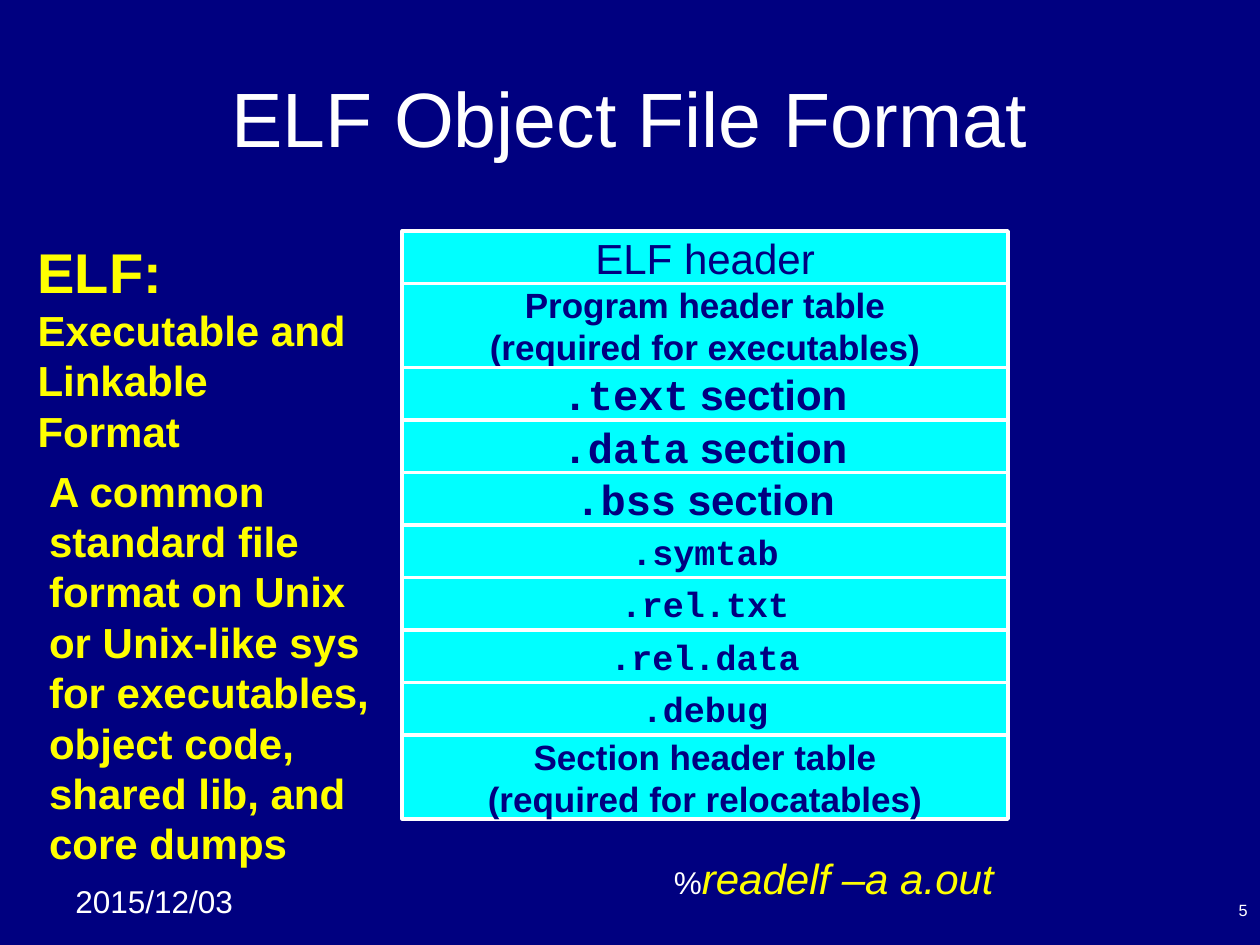
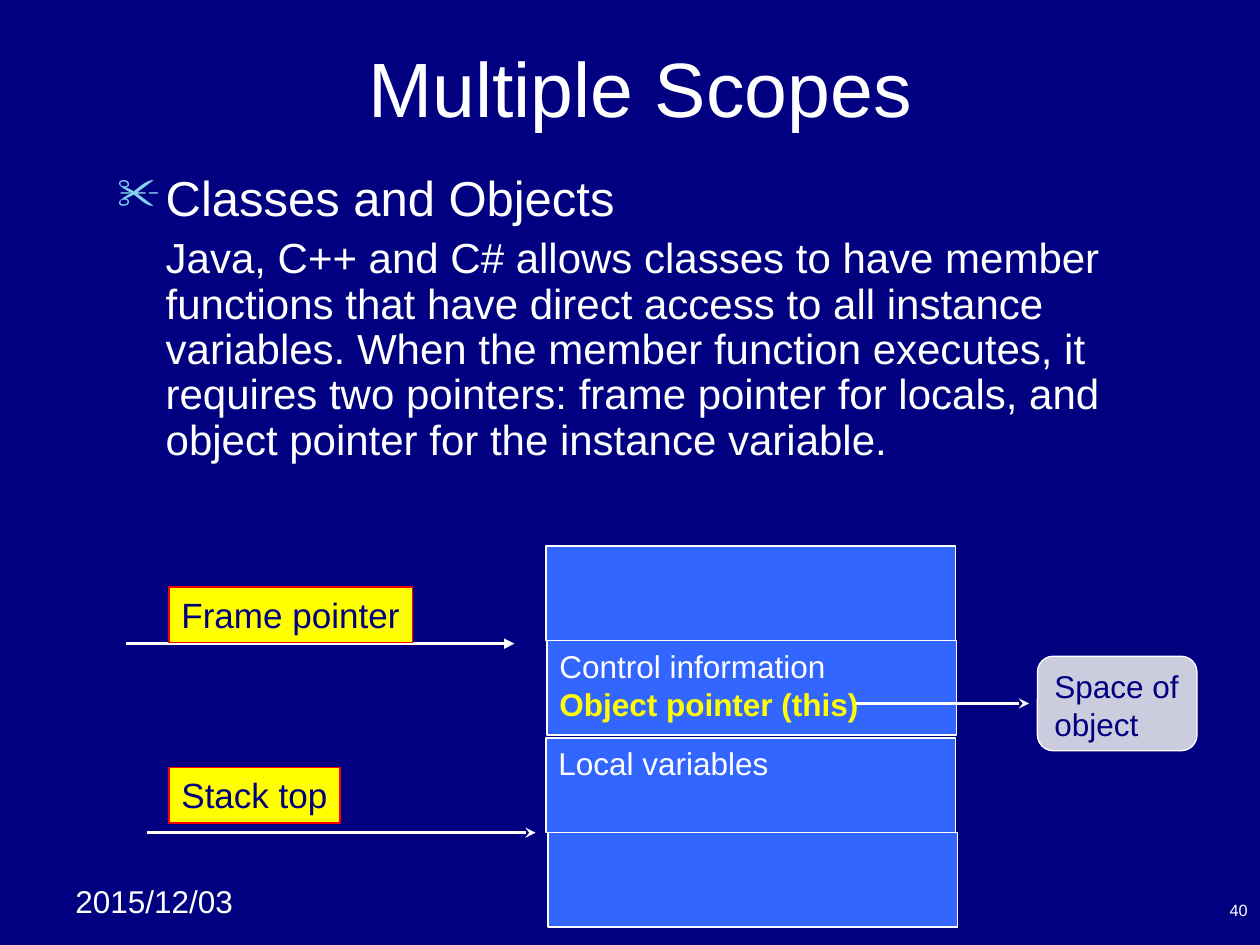
"""Build two lecture slides: the ELF file layout and multiple scopes."""
from lxml.etree import SubElement
from pptx import Presentation
from pptx.dml.color import RGBColor
from pptx.enum.shapes import MSO_CONNECTOR, MSO_SHAPE
from pptx.enum.text import MSO_ANCHOR as ANCHOR, PP_ALIGN as ALIGN
from pptx.oxml.ns import qn
from pptx.util import Pt

PX = 7620
COLORS = {
    "navy": "000080", "white": "FFFFFF", "yellow": "FFFF00", "cyan": "00FFFF",
    "blue": "3366FF", "red": "FF0000", "lavender": "CCCCDF", "sky": "86D1EC",
}
RGB = {name: RGBColor.from_string(value) for name, value in COLORS.items()}
SANS, MONO = "Arial", "Courier New"


def add_box(slide, bounds, paragraphs=(), size=18, color="white", style="", font=SANS,
            align=ALIGN.LEFT, anchor=ANCHOR.TOP, wrap=True,
            preset=None, fill=None, line=None, width=0.75):
    """Add a text box or preset shape; a run is a string or (text, overrides)."""
    x, y, w, h = (value * PX for value in bounds)
    if preset is None:
        box = slide.shapes.add_textbox(x, y, w, h)
    else:
        box = slide.shapes.add_shape(preset, x, y, w, h)
        box.shadow.inherit = False
        box.fill.solid()
        box.fill.fore_color.rgb = RGB[fill]
        box.line.color.rgb = RGB[line]
        box.line.width = Pt(width)
    frame = box.text_frame
    frame.word_wrap = wrap
    frame.vertical_anchor = anchor
    for index, runs in enumerate(paragraphs):
        paragraph = frame.add_paragraph() if index else frame.paragraphs[0]
        paragraph.alignment = align
        for part in [runs] if isinstance(runs, str) else runs:
            text, own = (part, {}) if isinstance(part, str) else part
            look = {"size": size, "color": color, "style": style, "font": font, **own}
            run = paragraph.add_run()
            run.text = text
            run.font.name = look["font"]
            run.font.size = Pt(look["size"])
            run.font.bold = "b" in look["style"]
            run.font.italic = "i" in look["style"]
            run.font.color.rgb = RGB[look["color"]]
    return frame


def add_arrow(slide, start, end, y, head):
    """Add a horizontal white arrow."""
    arrow = slide.shapes.add_connector(
        MSO_CONNECTOR.STRAIGHT, start * PX, y * PX, end * PX, y * PX)
    arrow.line.color.rgb = RGB["white"]
    arrow.line.width = Pt(1.5)
    SubElement(arrow.line._get_or_add_ln(), qn("a:tailEnd"), type=head)
    SubElement(arrow._element.spPr, qn("a:effectLst"))


deck = Presentation()
deck.slide_width, deck.slide_height = 1200 * PX, 900 * PX

slides = []
for title, title_bounds, number in [
    ("ELF Object File Format", (60, 36, 1080, 150), "5"),
    ("Multiple Scopes", (70, 36, 1080, 94), "40"),
]:
    slide = deck.slides.add_slide(deck.slide_layouts[6])
    slide.background.fill.solid()
    slide.background.fill.fore_color.rgb = RGB["navy"]
    add_box(slide, (60, 834, 190, 48), ["2015/12/03"])
    add_box(slide, title_bounds, [title], 44, align=ALIGN.CENTER, anchor=ANCHOR.MIDDLE)
    add_box(slide, (920, 850, 280, 32), [number], 9.3,
            align=ALIGN.RIGHT, anchor=ANCHOR.BOTTOM)
    slides.append(slide)
elf, scopes = slides

sections = [[[(name, {"font": MONO}), " section"]] for name in (".text", ".data", ".bss")]
tables = [[[(name, {"font": MONO})]] for name in (".symtab", ".rel.txt", ".rel.data", ".debug")]
layout = [
    (["ELF header"], 24, ""),
    (["Program header table", "(required for executables)"], 20, "b"),
    *((lines, 24, "b") for lines in sections),
    *((lines, 20, "b") for lines in tables),
    (["Section header table", "(required for relocatables)"], 20, "b"),
]
top = 220
for lines, size, style in layout:
    height = 20 + 30 * len(lines)
    add_box(elf, (383, top, 577, height), lines, size, "navy", style,
            align=ALIGN.CENTER, anchor=ANCHOR.MIDDLE, wrap=False,
            preset=MSO_SHAPE.RECTANGLE, fill="cyan", line="white", width=2)
    top += height

add_box(elf, (24, 220, 332, 173),
        [[("ELF:", {"size": 32})], "Executable and", "Linkable Format"],
        24, "yellow", "b", wrap=False)
add_box(elf, (35, 437, 329, 396),
        ["A common", "standard file", "format on Unix", "or Unix-like sys",
         "for executables,", "object code,", "shared lib, and", "core dumps"],
        24, "yellow", "b", wrap=False)
add_box(elf, (630, 806, 329, 60),
        [["%", ("readelf –a a.out", {"size": 24, "color": "yellow", "style": "i"})]],
        wrap=False)

explanation = add_box(scopes, (100, 160, 1020, 740), [
    [("Classes and Objects", {"size": 28})],
    "Java, C++ and C# allows classes to have member functions that have direct access "
    "to all instance variables. When the member function executes, it requires two "
    "pointers: frame pointer for locals, and object pointer for the instance variable.",
], 24)
topic, detail = explanation.paragraphs
for paragraph in (topic, detail):
    paragraph.line_spacing = 0.9
    paragraph._p.get_or_add_pPr().set("marL", str(46 * PX))
detail.space_before = Pt(6)
bullet = topic._p.get_or_add_pPr()
bullet.set("indent", str(-46 * PX))
SubElement(SubElement(bullet, qn("a:buClr")), qn("a:srgbClr"), val=COLORS["sky"])
SubElement(bullet, qn("a:buSzPct"), val="90000")
SubElement(bullet, qn("a:buChar"), char="✂")

control = ["Control information",
           [("Object pointer (this)", {"color": "yellow", "style": "b"})]]
for left, top, lines in [
    (520, 520, []), (521, 610, control), (522, 793, []), (520, 703, ["Local variables"]),
]:
    add_box(scopes, (left, top, 390, 90), lines,
            preset=MSO_SHAPE.RECTANGLE, fill="blue", line="white")

for start, end, y, head in [
    (120, 490, 613, "triangle"), (140, 510, 793, "stealth"), (815, 980, 670, "stealth"),
]:
    add_arrow(scopes, start, end, y, head)

for label, top, width in [("Frame pointer", 559, 232), ("Stack top", 731, 163)]:
    add_box(scopes, (161, top, width, 53), [label], 20, "navy", wrap=False,
            preset=MSO_SHAPE.RECTANGLE, fill="yellow", line="red")

add_box(scopes, (988, 625, 152, 90), ["Space of object"], color="navy",
        preset=MSO_SHAPE.ROUNDED_RECTANGLE, fill="lavender", line="white")

deck.save("out.pptx")
